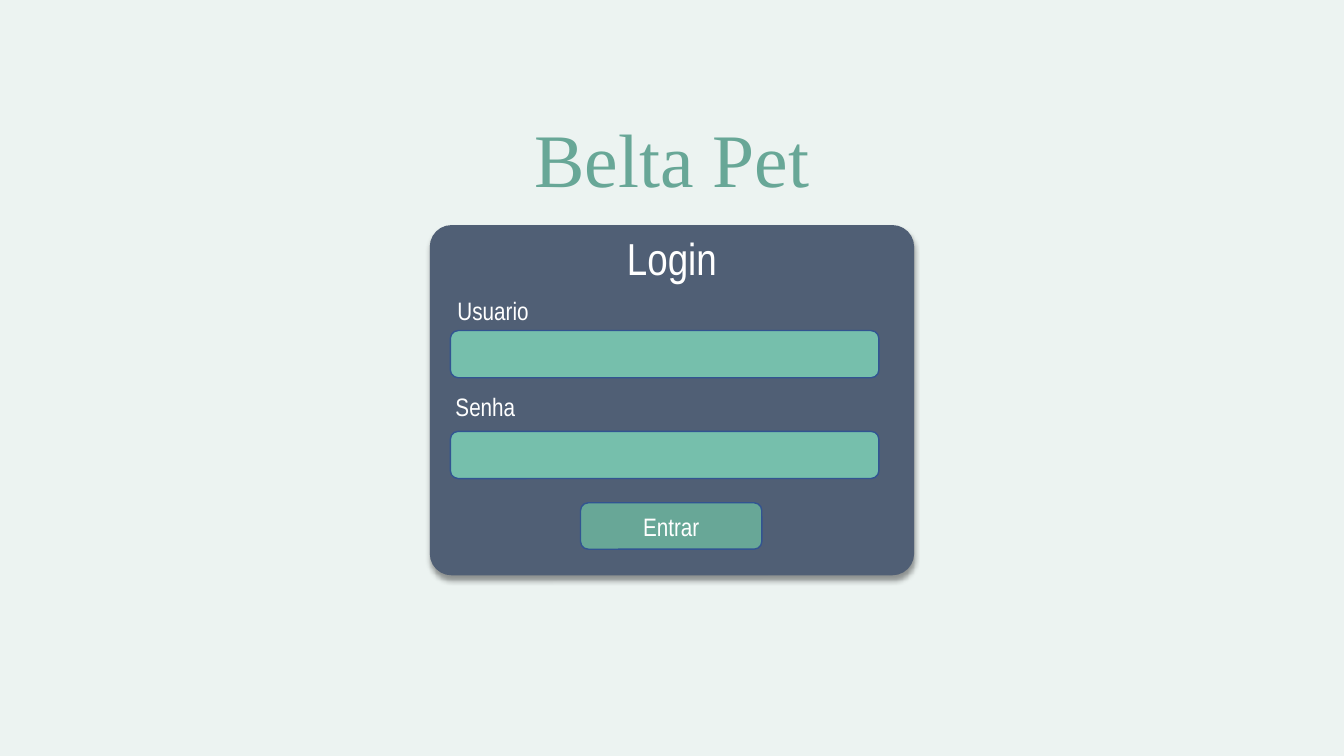
from lxml.etree import SubElement
from pptx import Presentation
from pptx.dml.color import RGBColor
from pptx.enum.shapes import MSO_SHAPE
from pptx.enum.text import MSO_ANCHOR, MSO_AUTO_SIZE, PP_ALIGN
from pptx.oxml.ns import qn
from pptx.util import Cm, Pt

HUES = {
    "page": "ECF3F1",
    "card": "505F75",
    "field": "76BFAC",
    "green": "68A797",
    "edge": "325491",
    "white": "FFFFFF",
    "black": "000000",
}
SANS = "Arial Narrow"
SERIF = "Times New Roman"
LEFT, WIDE = 10.85, 12.17


def hue(name):
    """Return the named colour."""
    return RGBColor.from_string(HUES[name])


def place(shape, left, top, width, height):
    """Move and size a shape in centimetres."""
    shape.left, shape.top = Cm(left), Cm(top)
    shape.width, shape.height = Cm(width), Cm(height)


def write(shape, text, size, font=SANS, color="white", align=PP_ALIGN.CENTER):
    """Put one formatted run into a shape."""
    para = shape.text_frame.paragraphs[0]
    para.alignment = align
    run = para.add_run()
    run.text = text
    run.font.size = Pt(size)
    run.font.name = font
    run.font.color.rgb = hue(color)


def add_box(slide, box, fill, edge="edge"):
    """Draw a flat rounded box."""
    shape = slide.shapes.add_shape(MSO_SHAPE.ROUNDED_RECTANGLE, *map(Cm, box))
    shape.shadow.inherit = False
    shape.fill.solid()
    shape.fill.fore_color.rgb = hue(fill)
    shape.line.color.rgb = hue(edge)
    shape.line.width = Pt(1)
    shape.text_frame.vertical_anchor = MSO_ANCHOR.MIDDLE
    return shape


def add_shade(shape):
    """Cast a soft shadow below a shape."""
    effects = shape._element.spPr.find(qn("a:effectLst"))
    shade = SubElement(effects, qn("a:outerShdw"), blurRad=str(Pt(4)),
                       dist=str(Pt(3)), dir="5400000", algn="t", rotWithShape="0")
    color = SubElement(shade, qn("a:srgbClr"), val=HUES["black"])
    SubElement(color, qn("a:alpha"), val="40000")


def add_label(slide, box, text, size, align=PP_ALIGN.LEFT):
    """Add a text box with one line."""
    label = slide.shapes.add_textbox(*map(Cm, box))
    label.text_frame.word_wrap = True
    label.text_frame.auto_size = MSO_AUTO_SIZE.SHAPE_TO_FIT_TEXT
    write(label, text, size, align=align)


def set_title(slide, text):
    """Fill the title above the card."""
    title = slide.shapes.title
    place(title, LEFT, 2.69, WIDE, 2.57)
    frame = title.text_frame
    frame.auto_size = MSO_AUTO_SIZE.SHAPE_TO_FIT_TEXT
    frame.vertical_anchor = MSO_ANCHOR.TOP
    write(title, text, 54, SERIF, "green")


def main():
    """Build the login slide."""
    deck = Presentation()
    deck.slide_width, deck.slide_height = Cm(33.87), Cm(19.05)
    slide = deck.slides.add_slide(deck.slide_layouts[5])
    slide.background.fill.solid()
    slide.background.fill.fore_color.rgb = hue("page")

    set_title(slide, "Belta Pet")
    card = add_box(slide, (LEFT, 5.69, WIDE, 8.79), "card", "card")
    card.adjustments[0] = 0.06
    add_shade(card)
    add_label(slide, (LEFT, 5.69, WIDE, 1.63), "Login", 32, PP_ALIGN.CENTER)

    fields = [("Usuario", 11.28, 7.32, 8.33), ("Senha", 11.23, 9.73, 10.87)]
    for text, left, top, low in fields:
        add_label(slide, (left, top, 2.6, 1.02), text, 18)
        add_box(slide, (11.35, low, 10.8, 1.19), "field")

    button = add_box(slide, (14.63, 12.67, 4.57, 1.17), "green")
    write(button, "Entrar", 18)
    deck.save("out.pptx")


if __name__ == "__main__":
    main()
